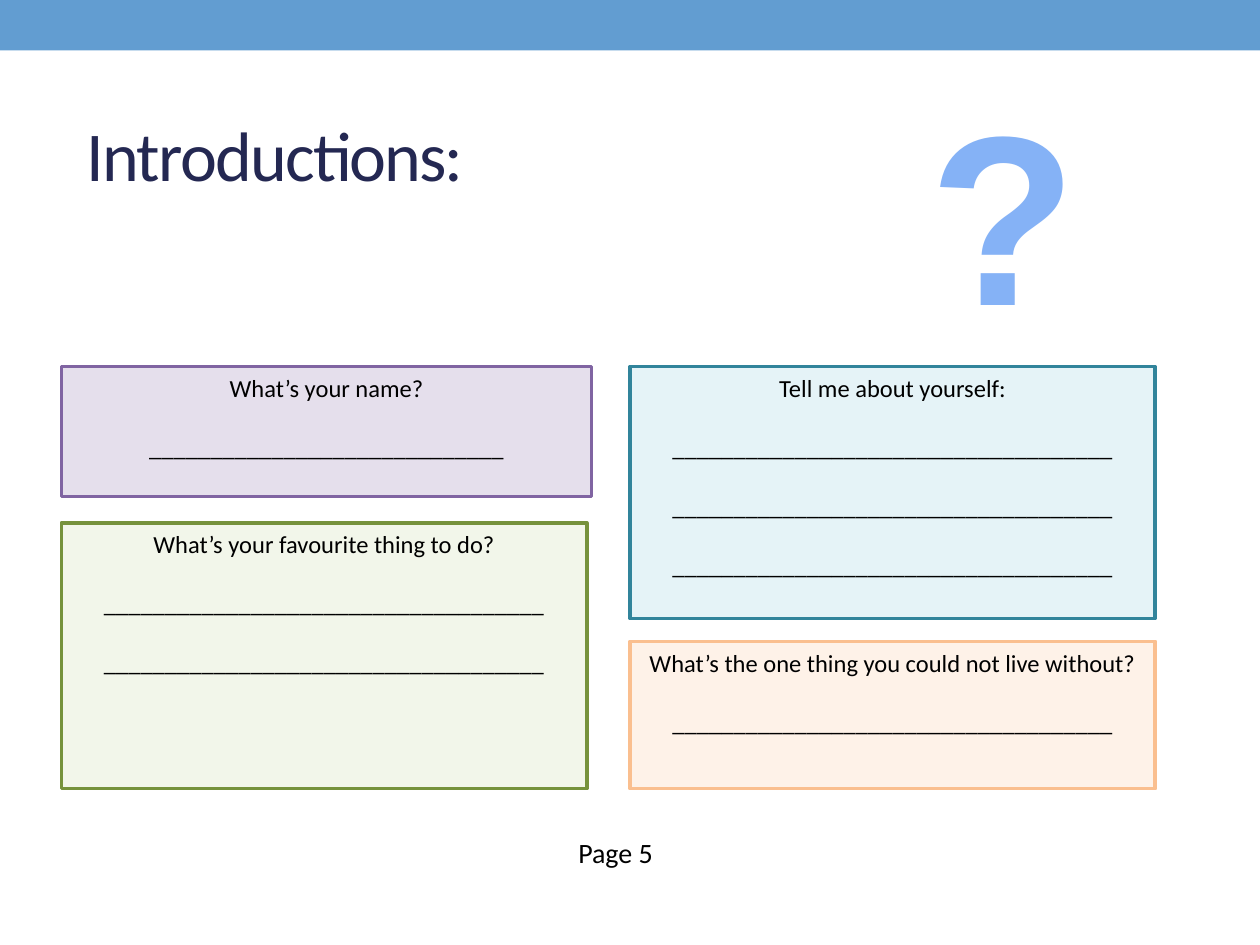
from pptx import Presentation
from pptx.dml.color import RGBColor
from pptx.enum.shapes import MSO_SHAPE
from pptx.enum.text import MSO_ANCHOR, PP_ALIGN
from pptx.util import Cm, Pt

COLOURS = {
    "banner": "629DD1",
    "title": "242852",
    "question": "85B2F6",
    "text": "000000",
    "purple_fill": "E5DFEC", "purple_line": "8064A2",
    "teal_fill": "E5F3F7", "teal_line": "31849B",
    "green_fill": "F2F6EA", "green_line": "76923C",
    "orange_fill": "FEF2E8", "orange_line": "FABF8F",
}
LEFT_COLUMN, RIGHT_COLUMN = 1.24, 12.7
TOP_ROW, BOX_BOTTOM = 7.39, 15.9
BOX_WIDTH = 10.59
LONG_BLANK = 36
QUESTION_BOXES = [
    ("What’s your name?", 1, 29, "purple", LEFT_COLUMN, TOP_ROW, 10.69, 10.01),
    ("Tell me about yourself:", 3, LONG_BLANK, "teal",
     RIGHT_COLUMN, TOP_ROW, BOX_WIDTH, 12.47),
    ("What’s your favourite thing to do?", 2, LONG_BLANK, "green",
     LEFT_COLUMN, 10.54, BOX_WIDTH, BOX_BOTTOM),
    ("What’s the one thing you could not live without?", 1, LONG_BLANK, "orange",
     RIGHT_COLUMN, 12.93, BOX_WIDTH, BOX_BOTTOM),
]


def colour(name):
    return RGBColor.from_string(COLOURS[name])


class SlideBuilder:
    def __init__(self, slide, font="Calibri"):
        self.slide = slide
        self.font = font

    def format_paragraph(self, paragraph, size, colour_name="text",
                         align=PP_ALIGN.CENTER, font=None, bold=False):
        paragraph.alignment = align
        for run in paragraph.runs:
            run.font.name = font or self.font
            run.font.size = Pt(size)
            run.font.bold = bold
            run.font.color.rgb = colour(colour_name)

    def rectangle(self, left, top, width, height, fill, line=None):
        shape = self.slide.shapes.add_shape(
            MSO_SHAPE.RECTANGLE, Cm(left), Cm(top), Cm(width), Cm(height))
        shape.shadow.inherit = False
        shape.fill.solid()
        shape.fill.fore_color.rgb = colour(fill)
        if line:
            shape.line.color.rgb = colour(line)
            shape.line.width = Pt(2)
        else:
            shape.line.fill.background()
        return shape

    def question_box(self, question, blank_count, blank_length, theme,
                     left, top, width, bottom):
        shape = self.rectangle(left, top, width, bottom - top,
                               f"{theme}_fill", f"{theme}_line")
        text_frame = shape.text_frame
        text_frame.word_wrap = True
        text_frame.vertical_anchor = MSO_ANCHOR.TOP
        text_frame.text = "\n".join([question] + ["_" * blank_length] * blank_count)
        for index, paragraph in enumerate(text_frame.paragraphs):
            self.format_paragraph(paragraph, 14)
            paragraph.space_before = Pt(17 if index else 0)

    def text(self, text, left, top, width, height, size,
             anchor=MSO_ANCHOR.TOP, **style):
        shape = self.slide.shapes.add_textbox(
            Cm(left), Cm(top), Cm(width), Cm(height))
        text_frame = shape.text_frame
        text_frame.word_wrap = True
        text_frame.vertical_anchor = anchor
        text_frame.text = text
        self.format_paragraph(text_frame.paragraphs[0], size, **style)
        return text_frame


def main():
    presentation = Presentation()
    presentation.slide_width = Cm(25.4)
    presentation.slide_height = Cm(19.05)
    slide = presentation.slides.add_slide(presentation.slide_layouts[6])
    builder = SlideBuilder(slide)

    builder.rectangle(0, 0, 25.4, 1.02, "banner")
    title = builder.text("Introductions:", 1.5, 1.73, 22.86, 2.74, 40,
                         anchor=MSO_ANCHOR.MIDDLE, colour_name="title",
                         align=PP_ALIGN.LEFT)
    title.paragraphs[0].runs[0].font._element.set("spc", "-100")

    for question_box in QUESTION_BOXES:
        builder.question_box(*question_box)

    question_mark = builder.text("?", 18.49, 0.74, 3, 6.15, 138,
                                 colour_name="question", font="Arial", bold=True)
    question_mark.margin_top = Cm(0.56)
    question_mark.margin_bottom = Cm(0)
    builder.text("Page 5", 9.91, 16.71, 5, 0.94, 16)

    presentation.save("out.pptx")


if __name__ == "__main__":
    main()
